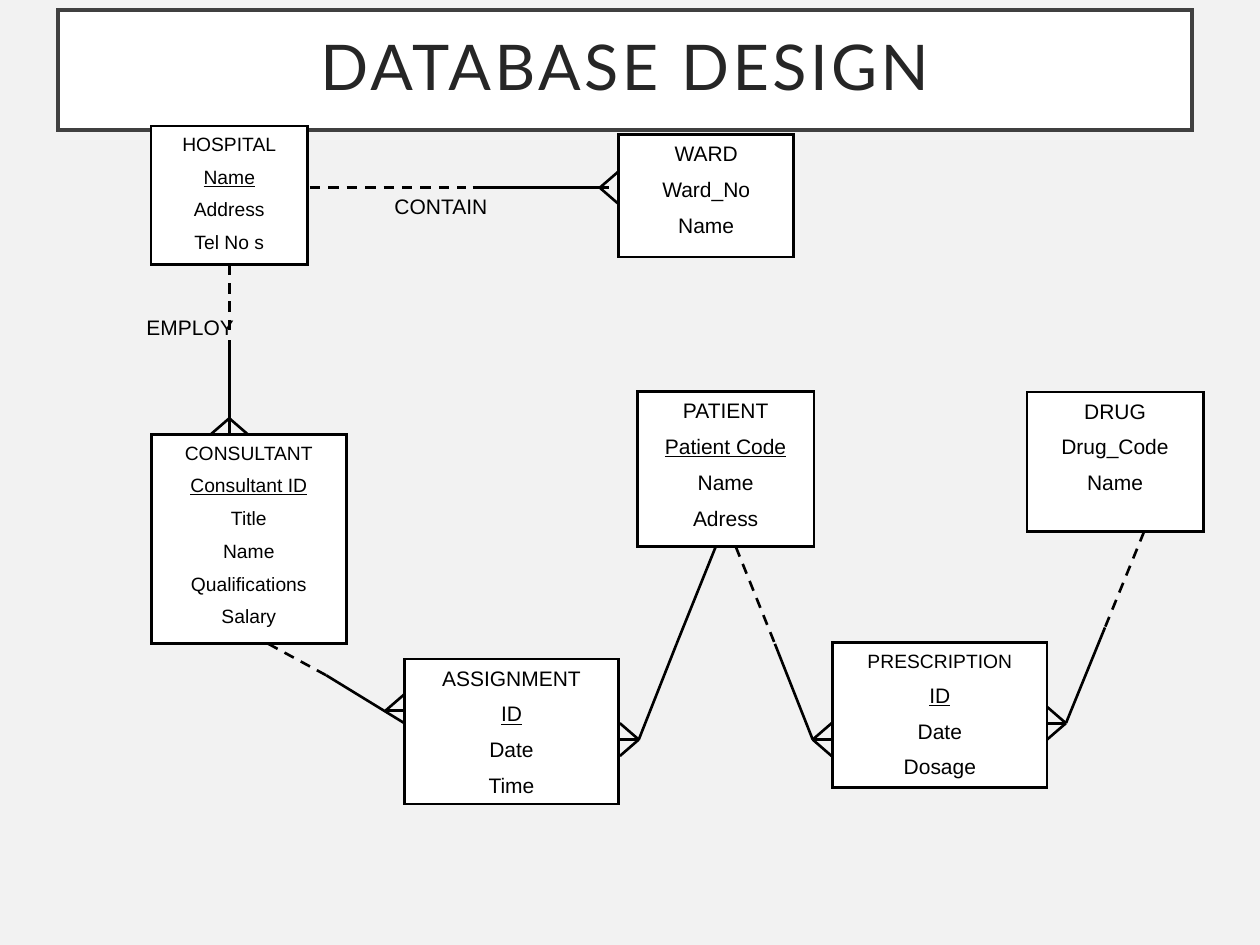
from dataclasses import dataclass

from lxml import etree
from pptx import Presentation
from pptx.dml.color import RGBColor
from pptx.enum.dml import MSO_LINE
from pptx.enum.shapes import MSO_CONNECTOR, MSO_SHAPE
from pptx.enum.text import MSO_ANCHOR, MSO_AUTO_SIZE, PP_ALIGN
from pptx.oxml.ns import qn
from pptx.util import Inches, Pt

COLORS = {"background": "F2F2F2", "box": "FFFFFF", "ink": "000000",
          "title": "262626", "frame": "404040"}
Point = tuple[float, float]


@dataclass
class Entity:
    left: float
    top: float
    width: float
    height: float
    name: str
    fields: list[str]
    key: str = ""
    name_size: int = 12
    field_size: int = 12


@dataclass
class Label:
    left: float
    top: float
    height: float
    text: str


@dataclass
class Link:
    start: Point
    end: Point
    dashed: bool = False


@dataclass
class CrowFoot:
    apex: Point
    direction: Point
    spreads: tuple[float, ...] = (-0.13, 0, 0.13)


ENTITIES = [
    Entity(1.2, 1.0, 1.24, 1.1, "HOSPITAL", ["Name", "Address", "Tel No s"], "Name", 11, 11),
    Entity(4.91, 1.07, 1.39, 0.97, "WARD", ["Ward_No", "Name"]),
    Entity(5.06, 3.11, 1.4, 1.23, "PATIENT", ["Patient Code", "Name", "Adress"], "Patient Code"),
    Entity(1.2, 3.45, 1.55, 1.66, "CONSULTANT",
           ["Consultant ID", "Title", "Name", "Qualifications", "Salary"], "Consultant ID", 11, 11),
    Entity(8.15, 3.11, 1.4, 1.11, "DRUG", ["Drug_Code", "Name"]),
    Entity(3.21, 5.23, 1.7, 1.15, "ASSIGNMENT", ["ID", "Date", "Time"], "ID"),
    Entity(6.61, 5.1, 1.7, 1.15, "PRESCRIPTION", ["ID", "Date", "Dosage"], "ID", 11),
]
LABELS = [Label(2.88, 1.49, 0.38, "CONTAIN"), Label(0.89, 2.45, 0.42, "EMPLOY")]
LINKS = [
    Link((2.46, 1.49), (3.7, 1.49), True),
    Link((3.75, 1.49), (4.83, 1.49)),
    Link((1.82, 2.1), (1.82, 2.66), True),
    Link((1.82, 2.7), (1.82, 3.45)),
    Link((2.13, 5.11), (2.59, 5.36), True),
    Link((2.59, 5.36), (3.21, 5.74)),
    Link((9.08, 4.22), (8.77, 4.98), True),
    Link((8.77, 4.98), (8.46, 5.74)),
    Link((5.68, 4.34), (5.37, 5.11)),
    Link((5.37, 5.11), (5.07, 5.87)),
    Link((5.84, 4.34), (6.15, 5.11), True),
    Link((6.15, 5.11), (6.45, 5.87)),
]
LEFT, RIGHT, DOWN = (-1, 0), (1, 0), (0, 1)
CROW_FEET = [
    CrowFoot((4.76, 1.49), RIGHT, (-0.13, 0.13)),
    CrowFoot((1.82, 3.32), DOWN, (-0.15, 0, 0.15)),
    CrowFoot((3.06, 5.64), RIGHT, (-0.13, 0)),
    CrowFoot((8.46, 5.74), LEFT),
    CrowFoot((5.07, 5.87), LEFT),
    CrowFoot((6.45, 5.87), RIGHT),
]


def color(name: str) -> RGBColor:
    return RGBColor.from_string(COLORS[name])


def style_box(shape, line: str, weight: float) -> None:
    shape.fill.solid()
    shape.fill.fore_color.rgb = color("box")
    shape.line.color.rgb = color(line)
    shape.line.width = Pt(weight)
    outline = shape._element.spPr.find(qn("a:ln"))
    etree.SubElement(outline, qn("a:miter")).set("lim", "800000")


def add_line_of_text(paragraph, text: str, size: int, underline: bool = False) -> None:
    paragraph.alignment = PP_ALIGN.CENTER
    spacing = etree.SubElement(paragraph._p.get_or_add_pPr(), qn("a:spcBef"))
    etree.SubElement(spacing, qn("a:spcPct")).set("val", "50000")
    run = paragraph.add_run()
    run.text = text
    run.font.name = "Arial"
    run.font.size = Pt(size)
    run.font.underline = underline
    run.font.color.rgb = color("ink")


def add_entity(slide, entity: Entity) -> None:
    box = slide.shapes.add_shape(MSO_SHAPE.RECTANGLE, Inches(entity.left), Inches(entity.top),
                                 Inches(entity.width), Inches(entity.height))
    box.shadow.inherit = False
    style_box(box, "ink", 1.5)
    frame = box.text_frame
    frame.word_wrap = True
    frame.vertical_anchor = MSO_ANCHOR.TOP
    add_line_of_text(frame.paragraphs[0], entity.name, entity.name_size)
    for field in entity.fields:
        add_line_of_text(frame.add_paragraph(), field, entity.field_size, field == entity.key)


def add_label(slide, label: Label) -> None:
    box = slide.shapes.add_textbox(Inches(label.left), Inches(label.top),
                                   Inches(1.24), Inches(label.height))
    box.text_frame.word_wrap = True
    add_line_of_text(box.text_frame.paragraphs[0], label.text, 12)


def add_link(slide, link: Link) -> None:
    connector = slide.shapes.add_connector(
        MSO_CONNECTOR.STRAIGHT, *(Inches(value) for value in link.start + link.end))
    connector.line.color.rgb = color("ink")
    connector.line.width = Pt(1.5)
    if link.dashed:
        connector.line.dash_style = MSO_LINE.DASH
    etree.SubElement(connector._element.spPr, qn("a:effectLst"))


def add_crow_foot(slide, foot: CrowFoot) -> None:
    (x, y), (dx, dy) = foot.apex, foot.direction
    reach = 0.15 if dx else 0.13
    for spread in foot.spreads:
        add_link(slide, Link(foot.apex, (x + dx * reach + abs(dy) * spread,
                                         y + dy * reach + abs(dx) * spread)))


def format_title(title) -> None:
    title.left, title.top = Inches(0.46), Inches(0.08)
    title.width, title.height = Inches(9), Inches(0.95)
    style_box(title, "frame", 2.5)
    frame = title.text_frame
    frame.auto_size = MSO_AUTO_SIZE.NONE
    frame.word_wrap = True
    frame.vertical_anchor = MSO_ANCHOR.MIDDLE
    frame.margin_left = frame.margin_right = Inches(0.2)
    frame.margin_top = frame.margin_bottom = Inches(0.2)
    paragraph = frame.paragraphs[0]
    paragraph.alignment = PP_ALIGN.CENTER
    paragraph.line_spacing = 0.9
    run = paragraph.add_run()
    run.text = "DATABASE DESIGN"
    run.font.name = "Lato"
    run.font.size = Pt(36)
    run.font.color.rgb = color("title")
    run._r.get_or_add_rPr().set("spc", "200")


presentation = Presentation()
presentation.slide_width, presentation.slide_height = Inches(10), Inches(7.5)
slide = presentation.slides.add_slide(presentation.slide_layouts[5])
slide.background.fill.solid()
slide.background.fill.fore_color.rgb = color("background")
format_title(slide.shapes.title)
for items, draw in ((ENTITIES, add_entity), (LABELS, add_label),
                    (LINKS, add_link), (CROW_FEET, add_crow_foot)):
    for item in items:
        draw(slide, item)
presentation.save("out.pptx")
